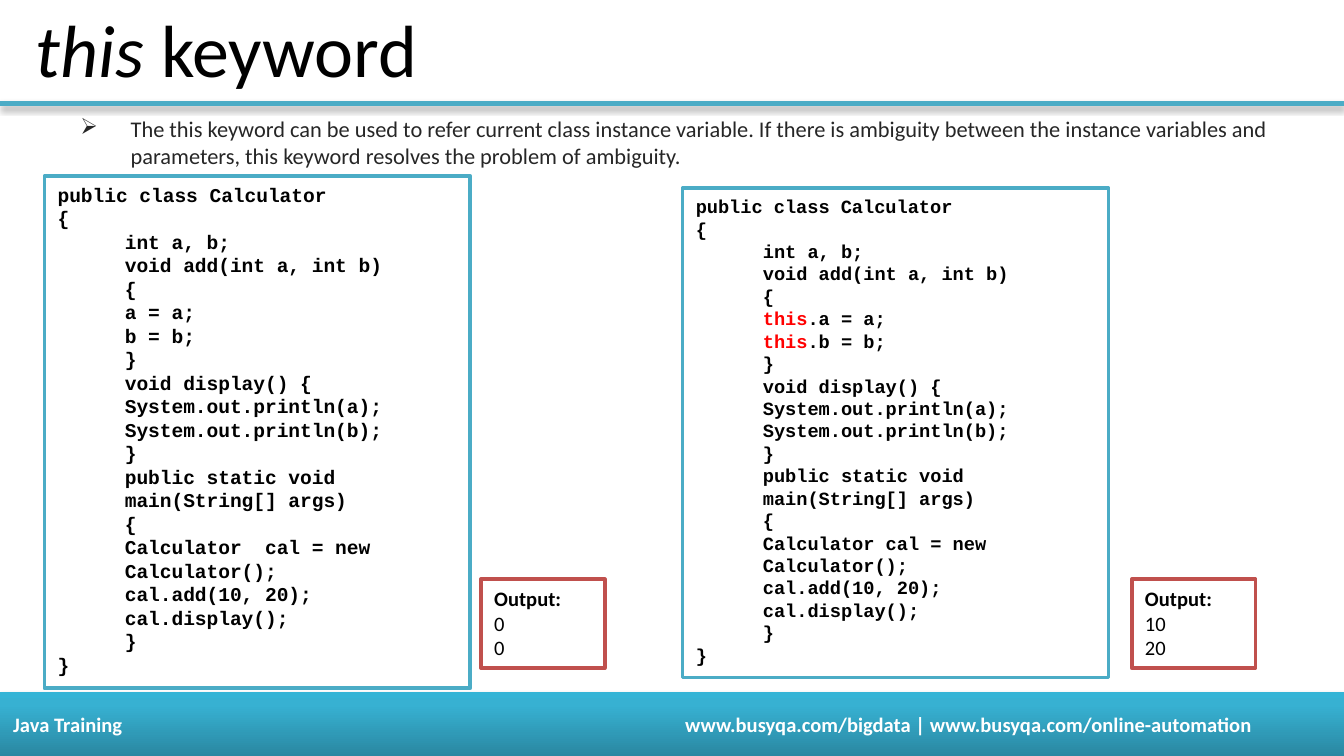
from lxml import etree
from pptx import Presentation
from pptx.dml.color import RGBColor
from pptx.enum.shapes import MSO_CONNECTOR, MSO_SHAPE
from pptx.enum.text import MSO_ANCHOR, MSO_AUTO_SIZE, PP_ALIGN
from pptx.oxml import parse_xml
from pptx.oxml.ns import nsdecls, qn
from pptx.util import Cm, Pt

BLACK = RGBColor(0x00, 0x00, 0x00)
WHITE = RGBColor(0xFF, 0xFF, 0xFF)
DARK_GREY = RGBColor(0x26, 0x26, 0x26)
RED = RGBColor(0xFF, 0x00, 0x00)
TEAL = RGBColor(0x4B, 0xAC, 0xC6)
BRICK = RGBColor(0xC0, 0x50, 0x4D)
FOOTER_STOPS = [(0, RGBColor(0x2A, 0x88, 0xA2)), (80, RGBColor(0x37, 0xB1, 0xD2)),
                (100, RGBColor(0x34, 0xB4, 0xD6))]
BODY_FONT, CODE_FONT = "Calibri", "Courier New"
WIDTH, HEIGHT = 25.4, 14.29

TITLE = [("this", True), (" keyword", False)]
BULLET = ("The this keyword can be used to refer current class instance variable. "
          "If there is ambiguity between the instance variables and parameters, "
          "this keyword resolves the problem of ambiguity.")
FOOTER = "Java Training\twww.busyqa.com/bigdata | www.busyqa.com/online-automation"

# Each inner list is the indented class body.
FIELDS = ["int a, b;", "void add(int a, int b)", "{"]
DISPLAY = ["}", "void display() {", "System.out.println(a);", "System.out.println(b);", "}",
           "public static void main(String[] args)", "{"]
CALLS = ["cal.add(10, 20);", "cal.display();", "}"]
EXAMPLES = [
    {"body": FIELDS + ["a = a;", "b = b;"] + DISPLAY
             + ["Calculator  cal = new Calculator();"] + CALLS,
     "size": 10.5, "box": (0.84, 3.33, 8.05, 9.68),
     "output": ["0", "0"], "output_left": 9.09},
    {"body": FIELDS + ["this.a = a;", "this.b = b;"] + DISPLAY
             + ["Calculator cal = new Calculator();"] + CALLS,
     "size": 10, "box": (12.9, 3.56, 8.05, 9.25),
     "output": ["10", "20"], "output_left": 21.39},
]
OUTPUT_TOP, OUTPUT_WIDTH, OUTPUT_HEIGHT = 10.95, 2.34, 1.68


def style(font, size, color, name=BODY_FONT, bold=False, italic=False):
    font.name, font.size, font.bold, font.italic = name, Pt(size), bold, italic
    font.color.rgb = color


def add_shadow(shape):
    """Give a shape or connector a soft shadow straight below it."""
    properties = shape._element.spPr
    for old in properties.findall(qn("a:effectLst")):
        properties.remove(old)
    properties.append(parse_xml(
        f'<a:effectLst {nsdecls("a")}><a:outerShdw blurRad="{Pt(3.1)}" dist="{Pt(1.8)}" '
        'dir="5400000" rotWithShape="0"><a:srgbClr val="000000"><a:alpha val="35000"/>'
        '</a:srgbClr></a:outerShdw></a:effectLst>'))


def add_text_box(slide, box):
    frame = slide.shapes.add_textbox(*map(Cm, box)).text_frame
    frame.word_wrap = True
    return frame


def add_framed_box(slide, box, line_color, lines):
    shape = slide.shapes.add_shape(MSO_SHAPE.RECTANGLE, *map(Cm, box))
    shape.shadow.inherit = False
    shape.fill.solid()
    shape.fill.fore_color.rgb = WHITE
    shape.line.color.rgb = line_color
    shape.line.width = Pt(2)
    frame = shape.text_frame
    frame.word_wrap = True
    frame.auto_size = MSO_AUTO_SIZE.SHAPE_TO_FIT_TEXT
    frame.vertical_anchor = MSO_ANCHOR.TOP
    frame.text = "\n".join(lines)
    for paragraph in frame.paragraphs:
        paragraph.alignment = PP_ALIGN.LEFT
    return frame.paragraphs


def add_example(slide, example):
    lines = ["public class Calculator", "{", *example["body"], "}"]
    paragraphs = add_framed_box(slide, example["box"], TEAL, lines)
    for index, (paragraph, line) in enumerate(zip(paragraphs, lines)):
        if 2 <= index < len(lines) - 1:
            paragraph.level = 1
            paragraph._p.get_or_add_pPr().set("marL", str(Cm(1.27)))
        if line.startswith("this"):
            paragraph.runs[0].text = "this"
            paragraph.add_run().text = line.removeprefix("this")
        for run in paragraph.runs:
            color = RED if run.text == "this" else BLACK
            style(run.font, example["size"], color, CODE_FONT, bold=True)

    box = (example["output_left"], OUTPUT_TOP, OUTPUT_WIDTH, OUTPUT_HEIGHT)
    paragraphs = add_framed_box(slide, box, BRICK, ["Output:", *example["output"]])
    for index, paragraph in enumerate(paragraphs):
        style(paragraph.runs[0].font, 11, BLACK, bold=index == 0)


def add_header(slide):
    rule = slide.shapes.add_connector(MSO_CONNECTOR.STRAIGHT, 0, Cm(1.96), Cm(WIDTH), Cm(1.96))
    rule.line.color.rgb = TEAL
    rule.line.width = Pt(3)
    add_shadow(rule)

    frame = add_text_box(slide, (0.43, 0.05, 22.86, 1.7))
    frame.vertical_anchor = MSO_ANCHOR.MIDDLE
    for text, italic in TITLE:
        run = frame.paragraphs[0].add_run()
        run.text = text
        style(run.font, 39.6, BLACK, italic=italic)


def add_footer(slide):
    bar = slide.shapes.add_shape(MSO_SHAPE.RECTANGLE, 0, Cm(13.08), Cm(WIDTH), Cm(HEIGHT - 13.08))
    bar.line.fill.background()
    stops = "".join(f'<a:gs pos="{position * 1000}"><a:srgbClr val="{color}"/></a:gs>'
                    for position, color in FOOTER_STOPS)
    bar._element.spPr.find(qn("a:prstGeom")).addnext(parse_xml(
        f'<a:gradFill {nsdecls("a")} rotWithShape="1"><a:gsLst>{stops}</a:gsLst>'
        '<a:lin ang="16200000" scaled="0"/></a:gradFill>'))
    add_shadow(bar)
    bar.text_frame.vertical_anchor = MSO_ANCHOR.MIDDLE
    paragraph = bar.text_frame.paragraphs[0]
    paragraph.text = FOOTER
    paragraph.alignment = PP_ALIGN.LEFT
    tabs = etree.SubElement(paragraph._p.get_or_add_pPr(), qn("a:tabLst"))
    etree.SubElement(tabs, qn("a:tab"), pos=str(Cm(12.7)), algn="l")
    for run in paragraph.runs:
        style(run.font, 11, WHITE, bold=True)


def add_bullet(slide):
    paragraph = add_text_box(slide, (1.27, 2.06, 23.06, 10.29)).paragraphs[0]
    paragraph.text = BULLET
    properties = paragraph._p.get_or_add_pPr()
    properties.set("marL", str(Cm(0.95)))
    properties.set("indent", str(-Cm(0.95)))
    etree.SubElement(properties, qn("a:buChar"), char="➢")
    style(paragraph.runs[0].font, 12, DARK_GREY)


def main():
    presentation = Presentation()
    presentation.slide_width, presentation.slide_height = Cm(WIDTH), Cm(HEIGHT)
    slide = presentation.slides.add_slide(presentation.slide_layouts[6])
    add_header(slide)
    add_footer(slide)
    add_bullet(slide)
    for example in EXAMPLES:
        add_example(slide, example)
    presentation.save("out.pptx")


if __name__ == "__main__":
    main()
